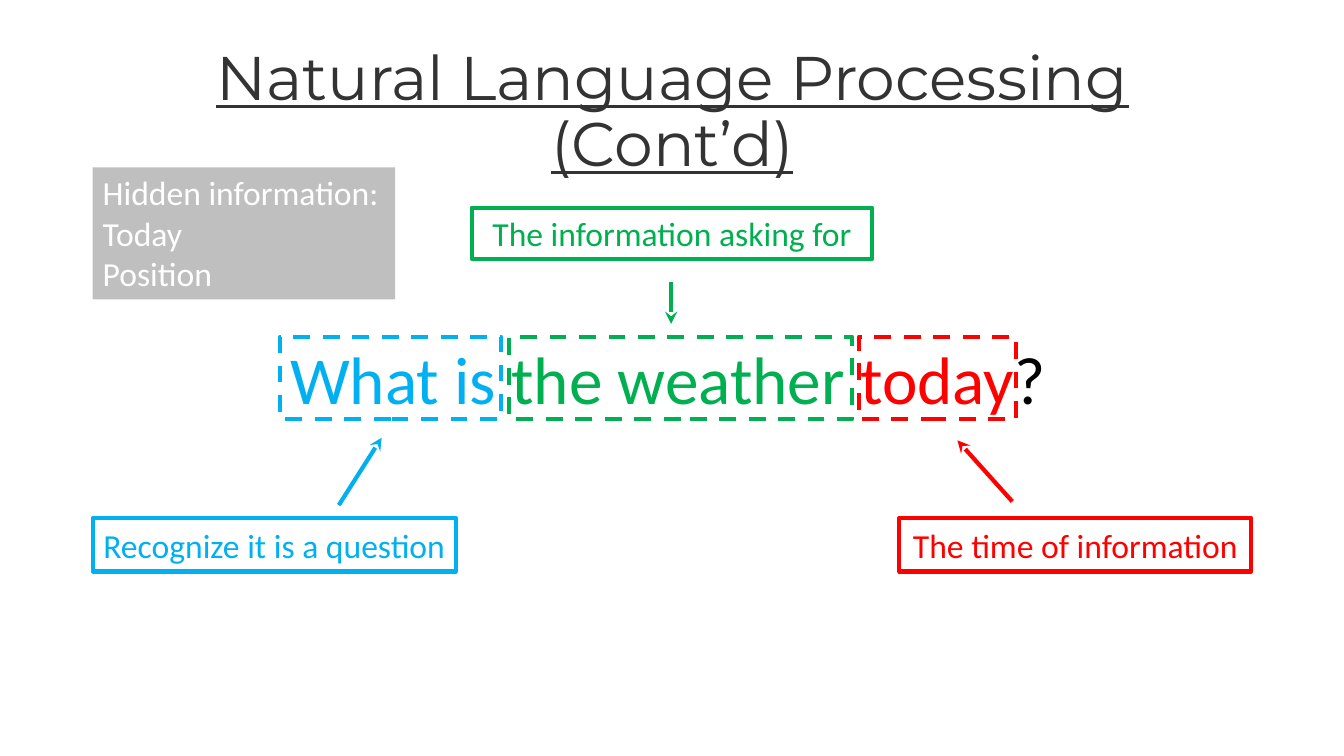
from lxml.etree import SubElement
from pptx import Presentation
from pptx.dml.color import RGBColor
from pptx.enum.dml import MSO_LINE
from pptx.enum.shapes import MSO_SHAPE
from pptx.enum.text import MSO_ANCHOR, PP_ALIGN
from pptx.oxml.ns import qn
from pptx.util import Inches, Pt

COLORS = {
    "question": "00B0F0",
    "topic": "00B050",
    "time": "FF0000",
    "black": "000000",
    "title": "333333",
    "panel": "BFBFBF",
    "white": "FFFFFF",
}


def rgb(name):
    """Return the named colour."""
    return RGBColor.from_string(COLORS[name])


def write(sp, paragraphs, size, anchor=MSO_ANCHOR.TOP, align=PP_ALIGN.LEFT,
          font="Calibri", underline=None, spacing=None):
    """Fill a shape with paragraphs of (text, colour) runs."""
    tf = sp.text_frame
    tf.word_wrap = True
    tf.vertical_anchor = anchor
    for i, runs in enumerate(paragraphs):
        p = tf.add_paragraph() if i else tf.paragraphs[0]
        p.alignment = align
        p.line_spacing = spacing
        for text, color in runs:
            r = p.add_run()
            r.text = text
            formats = {"name": font, "size": Pt(size), "underline": underline}
            for key, value in formats.items():
                setattr(r.font, key, value)
            r.font.color.rgb = rgb(color)


def add_text(s, box, paragraphs, size, **formats):
    """Add a text box."""
    sp = s.shapes.add_textbox(*map(Inches, box))
    write(sp, paragraphs, size, **formats)


def add_box(s, kind, box, fill=None, line=None, dash=None):
    """Add a shape with an optional fill and outline."""
    sp = s.shapes.add_shape(kind, *map(Inches, box))
    sp.shadow.inherit = False
    if fill:
        sp.fill.solid()
        sp.fill.fore_color.rgb = rgb(fill)
    else:
        sp.fill.background()
    if line:
        sp.line.color.rgb = rgb(line)
        sp.line.width = Pt(3)
        sp.line.dash_style = dash
    else:
        sp.line.fill.background()
    return sp


def add_callout(s, box, pointer, text, color):
    """Add a labelled callout whose pointer ends in an arrowhead."""
    sp = add_box(s, MSO_SHAPE.LINE_CALLOUT_1, box, line=color)
    for i, value in enumerate(pointer):
        sp.adjustments[i] = value
    ln = sp._element.spPr.find(qn("a:ln"))
    SubElement(ln, qn("a:tailEnd"), type="stealth")
    write(sp, [[(text, color)]], 24, MSO_ANCHOR.MIDDLE, PP_ALIGN.CENTER)


def main():
    """Build the slide."""
    prs = Presentation()
    prs.slide_width, prs.slide_height = Inches(13.33), Inches(7.5)
    s = prs.slides.add_slide(prs.slide_layouts[6])

    add_text(s, (0.92, 0.4, 11.5, 1.45),
             [[("Natural Language Processing (Cont’d)", "title")]], 44,
             anchor=MSO_ANCHOR.MIDDLE, align=PP_ALIGN.CENTER,
             font="Montserrat", underline=True, spacing=0.9)
    add_text(s, (2.78, 3.3, 7.77, 0.91),
             [[("What is ", "question"), ("the weather ", "topic"),
               ("today", "time"), ("?", "black")]], 48)

    for left, width, color in [(2.78, 2.19, "question"), (5.05, 3.4, "topic"),
                               (8.52, 1.56, "time")]:
        add_box(s, MSO_SHAPE.RECTANGLE, (left, 3.34, width, 0.82),
                line=color, dash=MSO_LINE.DASH)

    callouts = [
        ((0.92, 5.14, 3.6, 0.53), (-0.243, 0.678, -1.505, 0.796),
         "Recognize it is a question", "question"),
        ((4.68, 2.06, 3.97, 0.51), (1.457, 0.498, 2.263, 0.498),
         "The information asking for", "topic"),
        ((8.92, 5.14, 3.49, 0.53), (-0.311, 0.321, -1.456, 0.165),
         "The time of information", "time"),
    ]
    for callout in callouts:
        add_callout(s, *callout)

    panel = add_box(s, MSO_SHAPE.RECTANGLE, (0.92, 1.66, 3, 1.31), fill="panel")
    lines = ["Hidden information:", "Today", "Position"]
    write(panel, [[(text, "white")] for text in lines], 24)

    prs.save("out.pptx")


if __name__ == "__main__":
    main()
